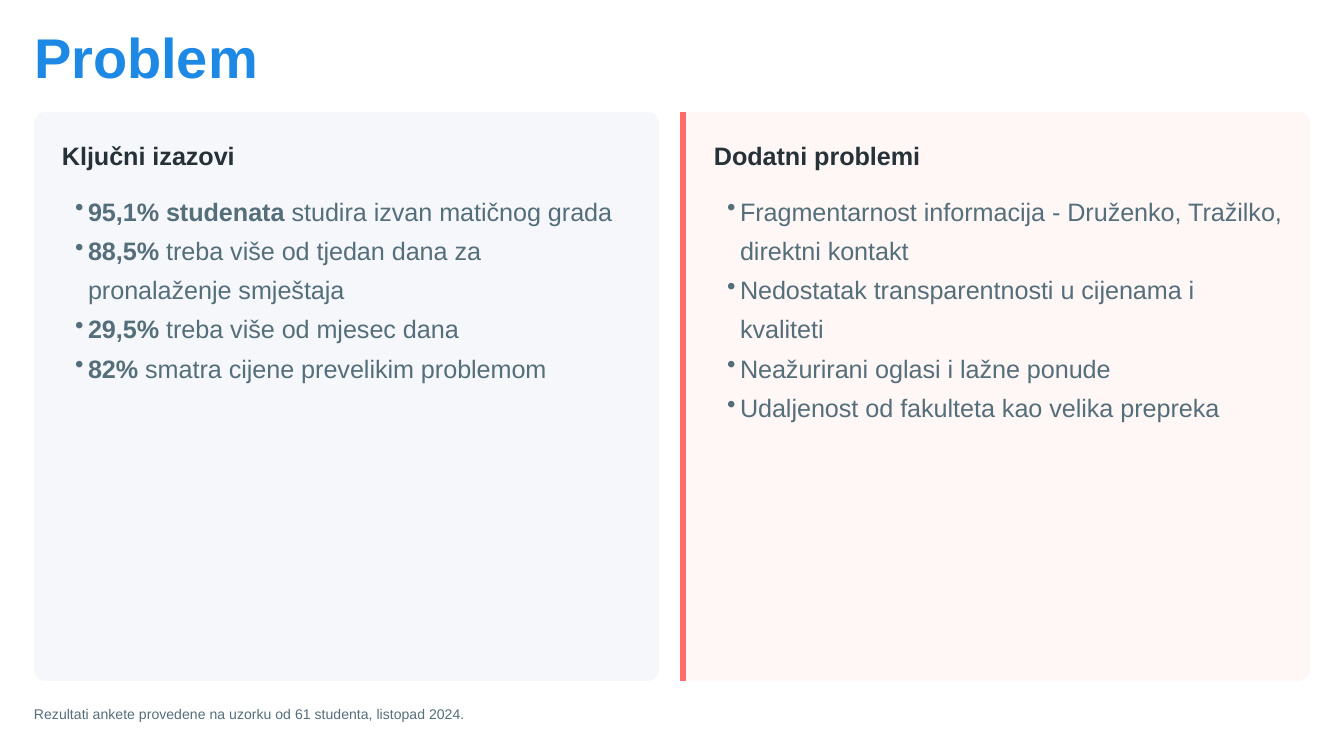
import pptx
import pptx.util
import pptx.dml.color
import pptx.enum.shapes
import pptx.oxml
import pptx.oxml.ns

RGB = pptx.dml.color.RGBColor
SHAPE = pptx.enum.shapes.MSO_SHAPE
LINE = pptx.enum.shapes.MSO_CONNECTOR
Pt = pptx.util.Pt

BLUE = RGB(0x1E, 0x88, 0xE5)
DARK = RGB(0x26, 0x32, 0x38)
SLATE = RGB(0x54, 0x6E, 0x7A)
GRAY = RGB(0xF5, 0xF7, 0xFA)
PINK = RGB(0xFF, 0xF6, 0xF6)
RED = RGB(0xFF, 0x6B, 0x6B)

TITLE = "Problem"
NOTE = "Rezultati ankete provedene na uzorku od 61 studenta, listopad 2024."
CARDS = [
    {"head": "Ključni izazovi", "left": 34, "width": 625, "fill": GRAY, "bar": 0, "tall": 212,
     "items": [
         ("95,1% studenata", " studira izvan matičnog grada"),
         ("88,5%", " treba više od tjedan dana za pronalaženje smještaja"),
         ("29,5%", " treba više od mjesec dana"),
         ("82%", " smatra cijene prevelikim problemom"),
     ]},
    {"head": "Dodatni problemi", "left": 680, "width": 630, "fill": PINK, "bar": 6, "tall": 253,
     "items": [
         ("", "Fragmentarnost informacija - Druženko, Tražilko, direktni kontakt"),
         ("", "Nedostatak transparentnosti u cijenama i kvaliteti"),
         ("", "Neažurirani oglasi i lažne ponude"),
         ("", "Udaljenost od fakulteta kao velika prepreka"),
     ]},
]

STYLES = {
    "title": {"size": 30, "color": BLUE, "line": 30, "after": 0},
    "head": {"size": 13.5, "color": DARK, "line": 16.2, "after": 9},
    "list": {"size": 13.5, "color": SLATE, "line": 21, "after": 0},
    "note": {"size": 7.5, "color": SLATE, "line": 10.5, "after": 0},
}
TOP, TALL, PAD, INDENT = 112, 569, 28, 13


def px(num):
    return round(num * 914400 / 134.4)


def apply(item, values):
    for key, value in values.items():
        setattr(item, key, value)


def bullet(para):
    props = para._p.get_or_add_pPr()
    props.set("marL", str(px(INDENT)))
    props.set("indent", str(-px(INDENT)))
    mark = pptx.oxml.parse_xml(
        f'<a:buChar {pptx.oxml.ns.nsdecls("a")} char="•"/>')
    props.append(mark)


def write(slide, box, rows, name, dots=False):
    style = STYLES[name]
    frame = slide.shapes.add_textbox(*map(px, box)).text_frame
    apply(frame, {"word_wrap": True, "margin_left": px(INDENT) if dots else 0,
                  "margin_top": 0, "margin_right": 0, "margin_bottom": 0})
    for num, row in enumerate(rows):
        para = frame.add_paragraph() if num else frame.paragraphs[0]
        apply(para, {"line_spacing": Pt(style["line"]), "space_after": Pt(style["after"])})
        if dots:
            bullet(para)
        for text, bold in zip(row, (True, False)):
            if text:
                run = para.add_run()
                run.text = text
                apply(run.font, {"name": "Arial", "size": Pt(style["size"]), "bold": bold})
                run.font.color.rgb = style["color"]


def panel(slide, card):
    box = (card["left"], TOP, card["width"], TALL)
    shape = slide.shapes.add_shape(SHAPE.ROUNDED_RECTANGLE, *map(px, box))
    shape.adjustments[0] = 0.02
    shape.shadow.inherit = False
    shape.fill.solid()
    shape.fill.fore_color.rgb = card["fill"]
    shape.line.fill.background()


def stripe(slide, card):
    mid = card["left"] + card["bar"] / 2
    ends = (mid, TOP, mid, TOP + TALL)
    line = slide.shapes.add_connector(LINE.STRAIGHT, *map(px, ends))
    line.line.color.rgb = RED
    line.line.width = Pt(3)
    line._element.spPr.append(
        pptx.oxml.parse_xml(f'<a:effectLst {pptx.oxml.ns.nsdecls("a")}/>'))


def main():
    deck = pptx.Presentation()
    apply(deck, {"slide_width": px(1344), "slide_height": px(756)})
    slide = deck.slides.add_slide(deck.slide_layouts[6])
    write(slide, (34, 34, 653, 56), [(TITLE,)], "title")
    for card in CARDS:
        panel(slide, card)
        if card["bar"]:
            stripe(slide, card)
        left = card["left"] + card["bar"] + PAD
        write(slide, (left, TOP + PAD, 579, 30), [(card["head"],)], "head")
        write(slide, (left, TOP + 75, 569, card["tall"]), card["items"], "list", True)
    write(slide, (34, 703, 1302, 20), [("", NOTE)], "note")
    deck.save("out.pptx")


if __name__ == "__main__":
    main()
